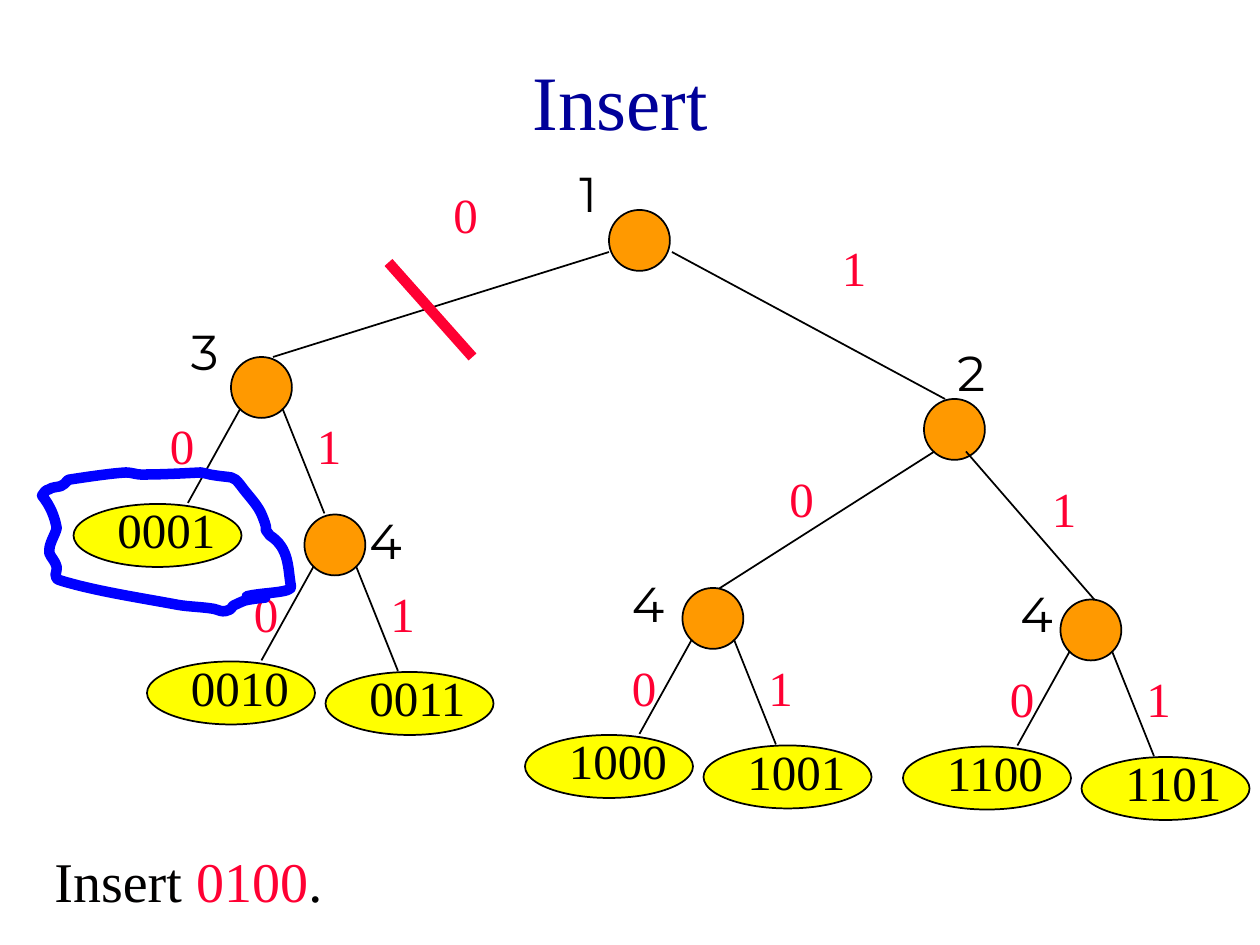
import pptx
import pptx.dml.color
import pptx.enum.shapes
import pptx.enum.text
import pptx.oxml
import pptx.oxml.ns
import pptx.util

RGB = pptx.dml.color.RGBColor
NAVY = RGB(0x00, 0x00, 0x99)
RED = RGB(0xFF, 0x00, 0x33)
ORANGE = RGB(0xFF, 0x99, 0x00)
YELLOW = RGB(0xFF, 0xFF, 0x00)
BLUE = RGB(0x00, 0x00, 0xFF)
INK = RGB(0x01, 0x00, 0x00)
BLACK = RGB(0x00, 0x00, 0x00)
WHITE = RGB(0xFF, 0xFF, 0xFF)
SERIF = "Times New Roman"
SANS = "Montserrat"
PX = 7620
NODE = 58

RING_START = (235, 568)
RING_CURVES = [
    ((250, 564), (280, 565), (277, 558)),
    ((274, 542), (276, 522), (257, 510)),
    ((248, 498), (258, 512), (250, 492)),
    ((246, 481), (236, 472), (229, 462)),
    ((221, 452), (223, 456), (200, 452)),
    ((197, 451), (191, 450), (191, 450)),
    ((172, 451), (154, 452), (134, 452)),
    ((130, 452), (125, 450), (120, 450)),
    ((102, 451), (65, 457), (65, 457)),
    ((62, 460), (61, 462), (58, 463)),
    ((55, 464), (49, 464), (47, 466)),
    ((43, 467), (42, 469), (40, 472)),
    ((48, 482), (52, 492), (54, 503)),
    ((52, 511), (46, 518), (47, 527)),
    ((48, 530), (53, 535), (54, 540)),
    ((55, 544), (49, 551), (58, 553)),
    ((91, 563), (131, 569), (169, 576)),
    ((180, 578), (193, 578), (204, 580)),
    ((208, 581), (211, 583), (215, 582)),
    ((218, 582), (220, 580), (222, 577)),
    ((224, 576), (228, 574), (233, 572)),
    ((251, 568), (266, 570), (235, 568)),
]


class TreeSlide:
    """Draws the parts of a binary trie on one slide, measured in px."""

    def __init__(self, slide):
        self.slide = slide
        self.shapes = slide.shapes

    def text(self, x, y, w, h, runs, size=28, font=SERIF, fill=None, title=False):
        box = self.shapes.add_textbox(x * PX, y * PX, w * PX, h * PX)
        frame = box.text_frame
        frame.word_wrap = True
        paragraph = frame.paragraphs[0]
        if title:
            frame.vertical_anchor = pptx.enum.text.MSO_ANCHOR.MIDDLE
            paragraph.alignment = pptx.enum.text.PP_ALIGN.CENTER
        else:
            frame.auto_size = pptx.enum.text.MSO_AUTO_SIZE.SHAPE_TO_FIT_TEXT
        if fill is not None:
            box.fill.solid()
            box.fill.fore_color.rgb = fill
        for words, color in runs:
            run = paragraph.add_run()
            run.text = words
            run.font.size = pptx.util.Pt(size)
            run.font.name = font
            run.font.color.rgb = color

    def bit(self, x, y, digit):
        self.text(x, y, 60, 68, [(digit, RED)])

    def caption(self, x, y, number):
        self.text(x, y, 80, 68, [(number, INK)], font=SANS)

    def ellipse(self, x, y, w, h, fill):
        oval = self.shapes.add_shape(
            pptx.enum.shapes.MSO_SHAPE.OVAL, x * PX, y * PX, w * PX, h * PX)
        oval.shadow.inherit = False
        oval.fill.solid()
        oval.fill.fore_color.rgb = fill
        oval.line.color.rgb = BLACK
        oval.line.width = pptx.util.Pt(1)

    def node(self, x, y):
        self.ellipse(x, y, NODE, NODE, ORANGE)

    def leaf(self, x, y, key):
        self.ellipse(x, y, 160, 60, YELLOW)
        self.text(x + 30, y - 10, 140, 68, [(key, BLACK)])

    def edge(self, x1, y1, x2, y2, color=BLACK, width=1):
        line = self.shapes.add_connector(
            pptx.enum.shapes.MSO_CONNECTOR.STRAIGHT, x1 * PX, y1 * PX, x2 * PX, y2 * PX)
        line.line.color.rgb = color
        line.line.width = pptx.util.Pt(width)
        properties = line._element.spPr
        properties.append(pptx.oxml.parse_xml(
            f"<a:effectLst {pptx.oxml.ns.nsdecls('a')}/>"))

    def fork(self, x, y, left_key, right_key=None, bit_shift=(-60, 60)):
        self.node(x, y)
        self.edge(x + 9, y + 49, x - 41, y + 139)
        self.edge(x + 49, y + 49, x + 89, y + 149)
        self.leaf(x - 150, y + 140, left_key)
        if right_key:
            self.leaf(x + 20, y + 150, right_key)
        dx, dy = bit_shift
        self.bit(x + dx, y + dy, "0")
        self.bit(x + 70, y + dy, "1")

    def ring(self, start, curves, color, width):
        ends = [curve[-1] for curve in curves]
        left = min(x for x, y in ends)
        top = min(y for x, y in ends)
        builder = self.shapes.build_freeform(*start, scale=PX)
        builder.add_line_segments(ends, close=True)
        outline = builder.convert_to_shape()
        straight = list(outline._element.iter(pptx.oxml.ns.qn("a:lnTo")))
        for segment, curve in zip(straight, curves):
            points = "".join(f'<a:pt x="{x - left}" y="{y - top}"/>' for x, y in curve)
            bend = pptx.oxml.parse_xml(
                f"<a:cubicBezTo {pptx.oxml.ns.nsdecls('a')}>{points}</a:cubicBezTo>")
            segment.getparent().replace(segment, bend)
        outline.shadow.inherit = False
        outline.fill.background()
        outline.line.color.rgb = color
        outline.line.width = pptx.util.Pt(width)


def main():
    deck = pptx.Presentation()
    deck.slide_width = 1200 * PX
    deck.slide_height = 900 * PX
    tree = TreeSlide(deck.slides.add_slide(deck.slide_layouts[6]))

    tree.text(90, 20, 1020, 150, [("Insert ", NAVY)], size=44, title=True)
    tree.text(40, 800, 380, 77, [("Insert", INK), (" 0100", RED), (".", BLACK)],
              size=32, fill=WHITE)

    tree.node(580, 200)
    tree.node(880, 380)
    for ends in [(580, 240, 260, 340), (640, 240, 900, 380),
                 (890, 430, 670, 570), (920, 430, 1050, 580)]:
        tree.edge(*ends)
    for x, y, digit in [(420, 170, "0"), (790, 220, "1"),
                        (740, 440, "0"), (990, 450, "1")]:
        tree.bit(x, y, digit)

    tree.fork(220, 340, "0001", bit_shift=(-70, 50))
    tree.fork(290, 490, "0010", "0011")
    tree.fork(650, 560, "1000", "1001")
    tree.fork(1010, 571, "1100", "1101")

    for x, y, number in [(540, 150, "1"), (900, 320, "2"), (170, 300, "3"),
                         (340, 480, "4"), (590, 540, "4"), (960, 550, "4")]:
        tree.caption(x, y, number)

    tree.ring(RING_START, RING_CURVES, BLUE, 6)
    tree.edge(370, 250, 450, 340, RED, 6)
    deck.save("out.pptx")


if __name__ == "__main__":
    main()
